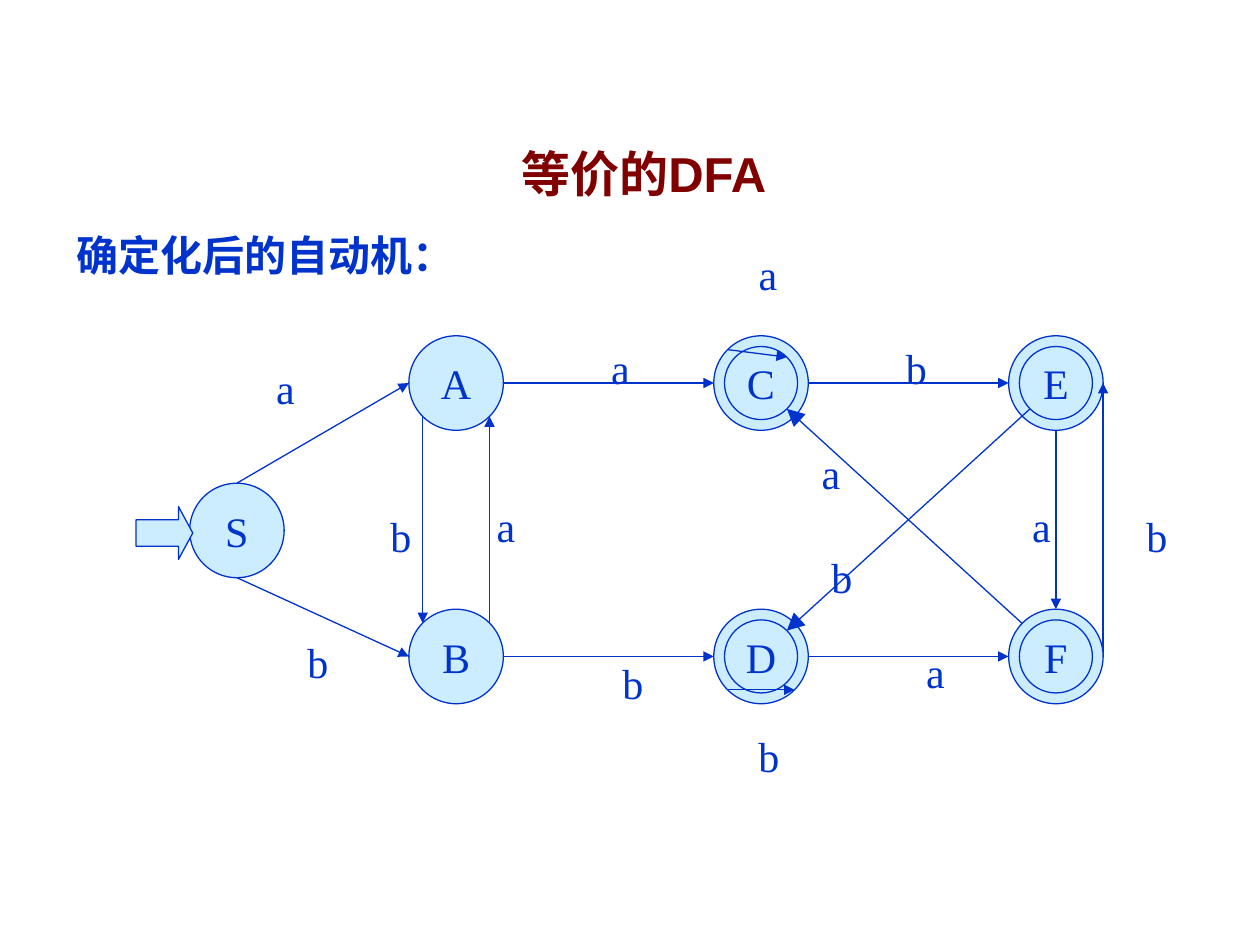
import math
from dataclasses import dataclass

import pptx
import pptx.dml.color
import pptx.enum.shapes
import pptx.enum.text
import pptx.oxml.ns
import pptx.util
from lxml import etree

Inches = pptx.util.Inches
Pt = pptx.util.Pt
Shape = pptx.enum.shapes.MSO_SHAPE
Align = pptx.enum.text.PP_ALIGN
Anchor = pptx.enum.text.MSO_ANCHOR
Fit = pptx.enum.text.MSO_AUTO_SIZE


@dataclass(frozen=True)
class Theme:
    ink: str = "0033CC"
    fill: str = "CCECFF"
    title: str = "800000"
    sans: str = "Arial"
    serif: str = "Times New Roman"
    big: int = 28
    text: int = 24
    line: float = 0.75
    outer: float = 0.75
    inner: float = 0.58


THEME = Theme()

NODES = {
    "C": (6.04, 3.04, True),
    "D": (6.04, 5.21, True),
    "B": (3.62, 5.21, False),
    "A": (3.62, 3.04, False),
    "E": (8.38, 3.04, True),
    "S": (1.88, 4.21, False),
    "F": (8.38, 5.21, True),
}

SIDES = {"right": 0, "low right": 45, "bottom": 90, "low left": 135,
         "left": 180, "top left": 225, "top": 270, "top right": 315}

EDGES = [
    ("S", "top", "A", "left"),
    ("S", "bottom", "B", "left"),
    ("B", "top right", "A", "low right"),
    ("A", "low left", "B", "top left"),
    ("A", "right", "C", "left"),
    ("B", "right", "D", "left"),
    ("D", "right", "F", "left"),
    ("C", "right", "E", "left"),
    ("E", "bottom", "F", "top"),
    ("F", "right", "E", "right"),
    ("D", "low left", "D", "low right"),
]

CROSS = [
    ("F", "top left", "C", "low right"),
    ("E", "low left", "D", "top right"),
]

LABELS = {
    "a": [(5.92, 1.92), (2.09, 2.83), (3.84, 3.92), (4.75, 2.67),
          (8.09, 3.92), (7.25, 5.08), (6.42, 3.5)],
    "b": [(9, 4), (2.34, 5), (3, 4), (4.84, 5.17),
          (7.09, 2.67), (5.92, 5.75), (6.5, 4.33)],
}


def rgb(code):
    return pptx.dml.color.RGBColor.from_string(code)


def write(frame, text, size, face, ink, align=Align.CENTER, bold=False):
    para = frame.paragraphs[0]
    para.alignment = align
    run = para.add_run()
    run.text = text
    font = run.font
    font.size = Pt(size)
    font.name = face
    font.bold = bold
    font.color.rgb = rgb(ink)


def add_title(slide, text):
    box = slide.shapes.title
    box.left, box.top = Inches(0.33), Inches(0.75)
    box.width, box.height = Inches(9.34), Inches(1.25)
    frame = box.text_frame
    frame.vertical_anchor = Anchor.MIDDLE
    frame.margin_left = Inches(0.32)
    write(frame, text, THEME.big, THEME.sans, THEME.title, bold=True)


def add_text(slide, text, left, top, width, face, align, anchor, bold=False):
    box = slide.shapes.add_textbox(Inches(left), Inches(top), Inches(width), Inches(0.5))
    frame = box.text_frame
    frame.word_wrap = False
    frame.auto_size = Fit.SHAPE_TO_FIT_TEXT
    frame.vertical_anchor = anchor
    write(frame, text, THEME.text, face, THEME.ink, align, bold)


def add_form(slide, kind, left, top, width, height):
    form = slide.shapes.add_shape(kind, Inches(left), Inches(top), Inches(width), Inches(height))
    form.shadow.inherit = False
    form.fill.solid()
    form.fill.fore_color.rgb = rgb(THEME.fill)
    form.line.color.rgb = rgb(THEME.ink)
    form.line.width = Pt(THEME.line)
    return form


def add_node(slide, name):
    x, y, final = NODES[name]
    sizes = [THEME.outer, THEME.inner] if final else [THEME.outer]
    for size in sizes:
        disc = add_form(slide, Shape.OVAL, x - size / 2, y - size / 2, size, size)
    frame = disc.text_frame
    frame.word_wrap = False
    frame.vertical_anchor = Anchor.MIDDLE
    write(frame, name, THEME.text, THEME.serif, THEME.ink)


def port(name, side, size):
    x, y, _ = NODES[name]
    angle = math.radians(SIDES[side])
    return x + size / 2 * math.cos(angle), y + size / 2 * math.sin(angle)


def add_edge(slide, start, end, head="med"):
    points = [Inches(value) for value in (*start, *end)]
    edge = slide.shapes.add_connector(pptx.enum.shapes.MSO_CONNECTOR.STRAIGHT, *points)
    edge.line.color.rgb = rgb(THEME.ink)
    edge.line.width = Pt(THEME.line)
    qn = pptx.oxml.ns.qn
    etree.SubElement(edge.line._get_or_add_ln(), qn("a:tailEnd"),
                     type="triangle", w=head, len=head)
    etree.SubElement(edge._element.spPr, qn("a:effectLst"))


def main():
    deck = pptx.Presentation()
    deck.slide_width, deck.slide_height = Inches(10), Inches(7.5)
    slide = deck.slides.add_slide(deck.slide_layouts[5])
    add_title(slide, "等价的DFA")

    for name in NODES:
        if name != "F":
            add_node(slide, name)
    for edges, size, head in ((EDGES, THEME.outer, "med"), (CROSS, THEME.inner, "lg")):
        for first, out, last, into in edges:
            add_edge(slide, port(first, out, size), port(last, into, size), head)
    add_edge(slide, port("C", "top left", THEME.outer), port("C", "top right", THEME.inner))

    for text, spots in LABELS.items():
        for left, top in spots:
            add_text(slide, text, left, top, 0.35, THEME.serif, Align.CENTER, Anchor.MIDDLE)

    arrow = add_form(slide, Shape.RIGHT_ARROW, 1.08, 4.02, 0.45, 0.42)
    arrow.adjustments[1] = 0.27
    add_node(slide, "F")
    add_text(slide, "确定化后的自动机：", 0.51, 1.77, 3.2, THEME.sans,
             Align.LEFT, Anchor.TOP, True)
    deck.save("out.pptx")


if __name__ == "__main__":
    main()
